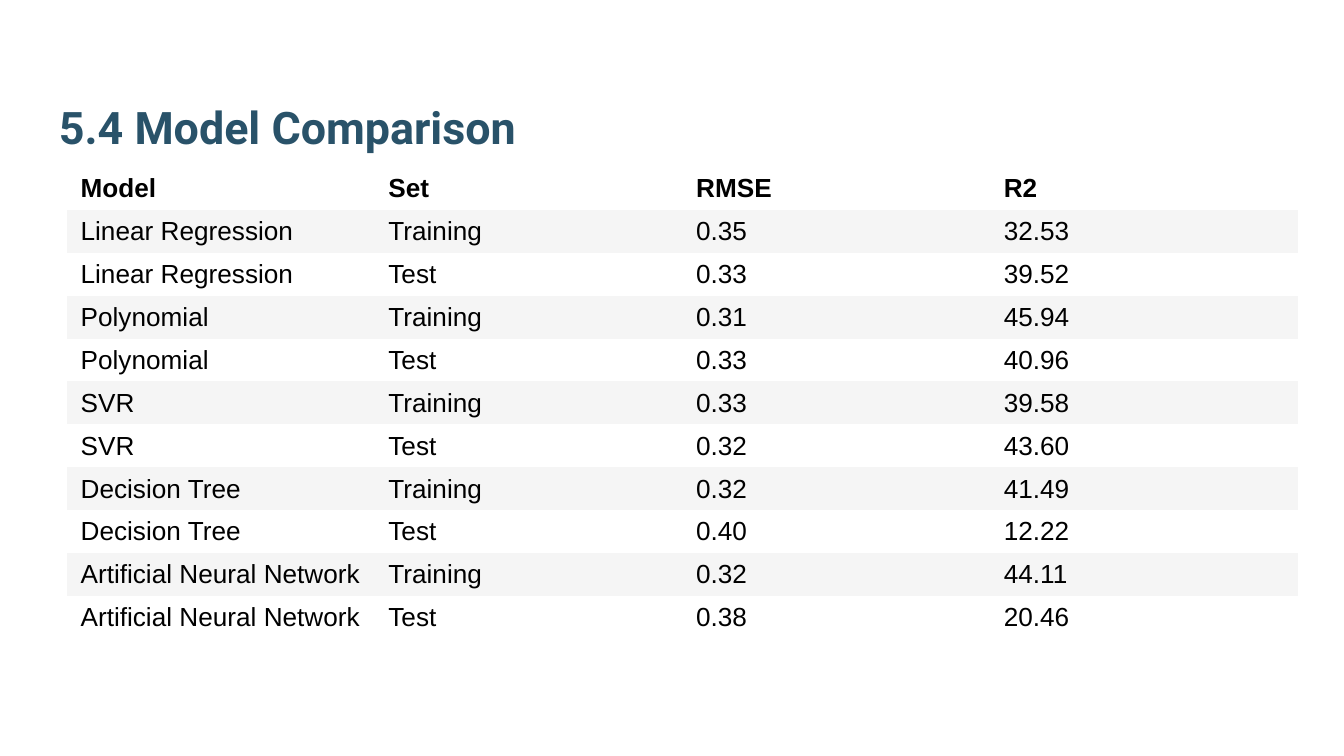
from pptx import Presentation, util as u
from pptx.dml.color import RGBColor
from pptx.enum import text

TITLE_BLUE = RGBColor(0x29, 0x52, 0x69)
BLACK = RGBColor(0x00, 0x00, 0x00)
BAND_GREY = RGBColor(0xF5, 0xF5, 0xF5)
NO_STYLE_NO_GRID = "{2D5ABB26-0587-4C30-8999-92F81FD0307C}"

HEADINGS = ("Model", "Set", "RMSE", "R2")
SCORES = [
    ("Linear Regression", "Training", "0.35", "32.53"),
    ("Linear Regression", "Test", "0.33", "39.52"),
    ("Polynomial", "Training", "0.31", "45.94"),
    ("Polynomial", "Test", "0.33", "40.96"),
    ("SVR", "Training", "0.33", "39.58"),
    ("SVR", "Test", "0.32", "43.60"),
    ("Decision Tree", "Training", "0.32", "41.49"),
    ("Decision Tree", "Test", "0.40", "12.22"),
    ("Artificial Neural Network", "Training", "0.32", "44.11"),
    ("Artificial Neural Network", "Test", "0.38", "20.46"),
]


def write(frame, words, *, size=14, font="Arial", color=BLACK, bold=False):
    run = frame.paragraphs[0].add_run()
    run.text = words
    run.font.size = u.Pt(size)
    run.font.name = font
    run.font.bold = bold
    run.font.color.rgb = color


# Widescreen slide, 16:9
deck = Presentation()
deck.slide_width = u.Inches(10)
deck.slide_height = deck.slide_width * 9 // 16
slide = deck.slides.add_slide(deck.slide_layouts[6])

# Title
title = slide.shapes.add_textbox(
    u.Inches(0.34), u.Inches(0.32), u.Inches(9.32), u.Inches(0.92)
).text_frame
title.word_wrap = True
title.vertical_anchor = text.MSO_ANCHOR.BOTTOM
title.margin_left = title.margin_right = u.Inches(0.1)
title.margin_top = title.margin_bottom = u.Inches(0.1)
write(title, "5.4 Model Comparison", size=24, font="Roboto", color=TITLE_BLUE, bold=True)

# Score table: equal columns and rows
rows = [HEADINGS, *SCORES]
column_width, row_height = u.Inches(2.29), u.Inches(0.32)
comparison = slide.shapes.add_table(
    len(rows), len(HEADINGS), u.Inches(0.5), u.Inches(1.24),
    column_width * len(HEADINGS), row_height * len(rows),
).table
comparison._tbl.tblPr[0].text = NO_STYLE_NO_GRID
comparison.horz_banding = False

for r, scores in enumerate(rows):
    for c, words in enumerate(scores):
        cell = comparison.cell(r, c)
        cell.vertical_anchor = text.MSO_ANCHOR.MIDDLE
        cell.margin_left = cell.margin_right = u.Inches(0.1)
        cell.margin_top = cell.margin_bottom = u.Inches(0.04)
        # Every other row below the headings is shaded
        if r % 2:
            cell.fill.solid()
            cell.fill.fore_color.rgb = BAND_GREY
        else:
            cell.fill.background()
        write(cell.text_frame, words, bold=r == 0)

deck.save("out.pptx")
